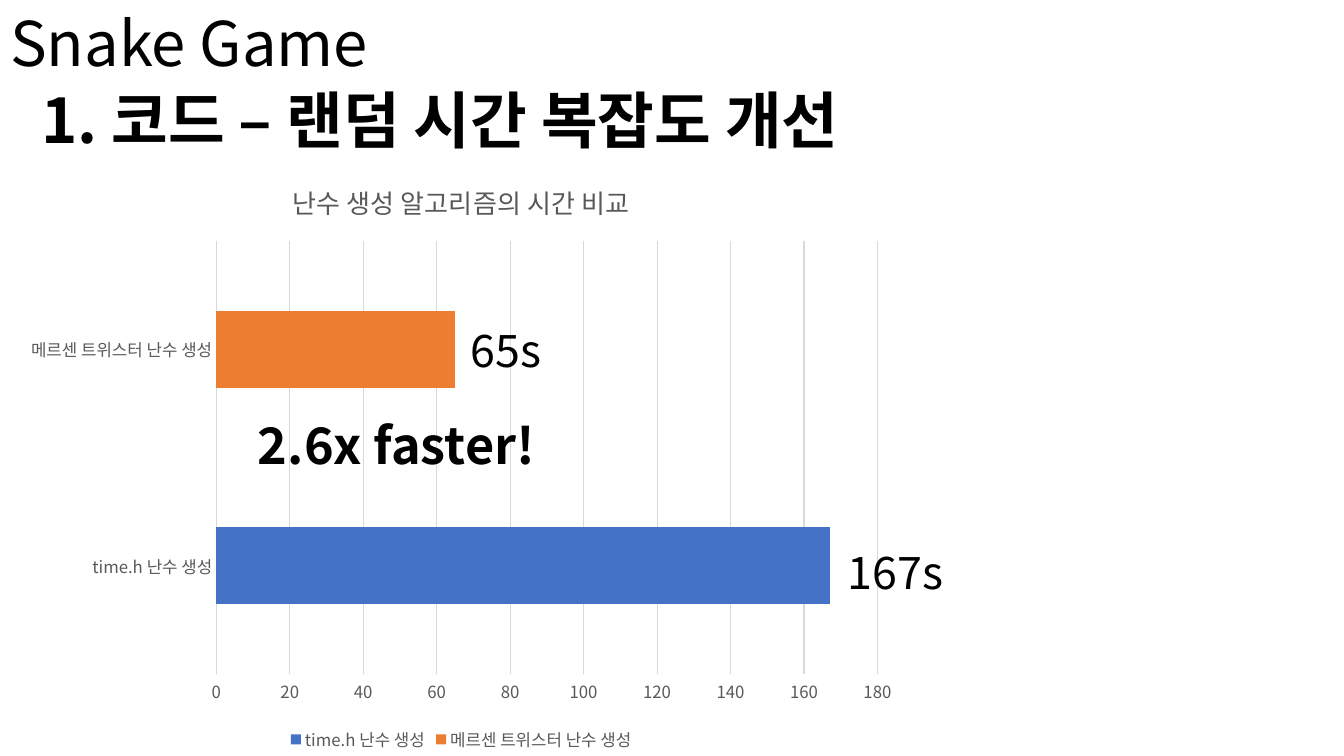
import pptx
import pptx.chart.data
import pptx.dml.color
import pptx.enum.chart
import pptx.enum.text
import pptx.oxml.ns
import pptx.util
from pptx.util import Inches

FONT = "Noto Sans CJK KR"
BLACK = pptx.dml.color.RGBColor(0x00, 0x00, 0x00)
GRAY = pptx.dml.color.RGBColor(0x59, 0x59, 0x59)
GRID = pptx.dml.color.RGBColor(0xD9, 0xD9, 0xD9)
BLUE = pptx.dml.color.RGBColor(0x44, 0x72, 0xC4)
ORANGE = pptx.dml.color.RGBColor(0xED, 0x7D, 0x31)

TIMINGS = [("time.h 난수 생성", 167, BLUE), ("메르센 트위스터 난수 생성", 65, ORANGE)]
LABELS = [
    ("65s", (4.57, 3.15, 0.95, 0.64), 32, False),
    ("167s", (8.31, 5.35, 1.22, 0.64), 32, False),
    ("2.6x faster!", (2.46, 4.06, 3.01, 0.71), 36, True),
]


def format_font(font, size, color, bold=False):
    font.name = FONT
    font.size = pptx.util.Pt(size)
    font.bold = bold
    font.color.rgb = color


def set_east_asian_font(element):
    for latin in list(element.iter(pptx.oxml.ns.qn("a:latin"))):
        east_asian = latin.makeelement(pptx.oxml.ns.qn("a:ea"), {"typeface": FONT})
        latin.addnext(east_asian)


def write_text(shape, text, size, color=BLACK, bold=False, wrap=False):
    frame = shape.text_frame
    frame.word_wrap = wrap
    frame.auto_size = pptx.enum.text.MSO_AUTO_SIZE.NONE
    frame.vertical_anchor = pptx.enum.text.MSO_ANCHOR.TOP
    para = frame.paragraphs[0]
    para.alignment = pptx.enum.text.PP_ALIGN.LEFT
    span = para.add_run()
    span.text = text
    format_font(span.font, size, color, bold)
    set_east_asian_font(shape.text_frame._txBody)


def add_text(page, text, place, **style):
    box = page.shapes.add_textbox(*map(Inches, place))
    write_text(box, text, **style)


def add_title(page, text, place, **style):
    title = page.shapes.title
    title.left, title.top, title.width, title.height = map(Inches, place)
    write_text(title, text, **style)


def format_axis(axis):
    axis.major_tick_mark = pptx.enum.chart.XL_TICK_MARK.NONE
    axis.minor_tick_mark = pptx.enum.chart.XL_TICK_MARK.NONE
    format_font(axis.tick_labels.font, 12, GRAY)


def format_line(line):
    line.color.rgb = GRID
    line.width = pptx.util.Pt(0.75)


def add_timing_chart(page, title, place):
    data = pptx.chart.data.CategoryChartData()
    data.categories = [name for name, seconds, color in TIMINGS]
    data.add_series("Series 1", [seconds for name, seconds, color in TIMINGS])
    chart = page.shapes.add_chart(
        pptx.enum.chart.XL_CHART_TYPE.BAR_CLUSTERED, *map(Inches, place), data
    ).chart

    chart.has_title = True
    span = chart.chart_title.text_frame.paragraphs[0].add_run()
    span.text = title
    format_font(span.font, 18.6, GRAY)
    chart.chart_title.include_in_layout = False

    chart.has_legend = True
    chart.legend.position = pptx.enum.chart.XL_LEGEND_POSITION.BOTTOM
    chart.legend.include_in_layout = False
    format_font(chart.legend.font, 12, GRAY)

    plot = chart.plots[0]
    plot.gap_width = 182
    plot.vary_by_categories = True
    for index, (name, seconds, color) in enumerate(TIMINGS):
        fill = plot.series[0].points[index].format.fill
        fill.solid()
        fill.fore_color.rgb = color

    format_axis(chart.category_axis)
    format_line(chart.category_axis.format.line)
    value_axis = chart.value_axis
    format_axis(value_axis)
    value_axis.minimum_scale, value_axis.maximum_scale = 0, 180
    value_axis.major_unit = 20
    value_axis.format.line.fill.background()
    format_line(value_axis.major_gridlines.format.line)
    set_east_asian_font(chart.element)


def main():
    deck = pptx.Presentation()
    deck.slide_width, deck.slide_height = Inches(13.33), Inches(7.5)
    page = deck.slides.add_slide(deck.slide_layouts[5])
    add_title(page, "Snake Game", (0, 0, 3.88, 0.84), size=44)
    add_text(page, "1. 코드 – 랜덤 시간 복잡도 개선", (0.31, 0.76, 8.19, 0.84),
             size=44, bold=True, wrap=True)
    add_timing_chart(page, "난수 생성 알고리즘의 시간 비교", (0.13, 1.57, 8.89, 5.93))
    for text, place, size, bold in LABELS:
        add_text(page, text, place, size=size, bold=bold)
    deck.save("out.pptx")


if __name__ == "__main__":
    main()
